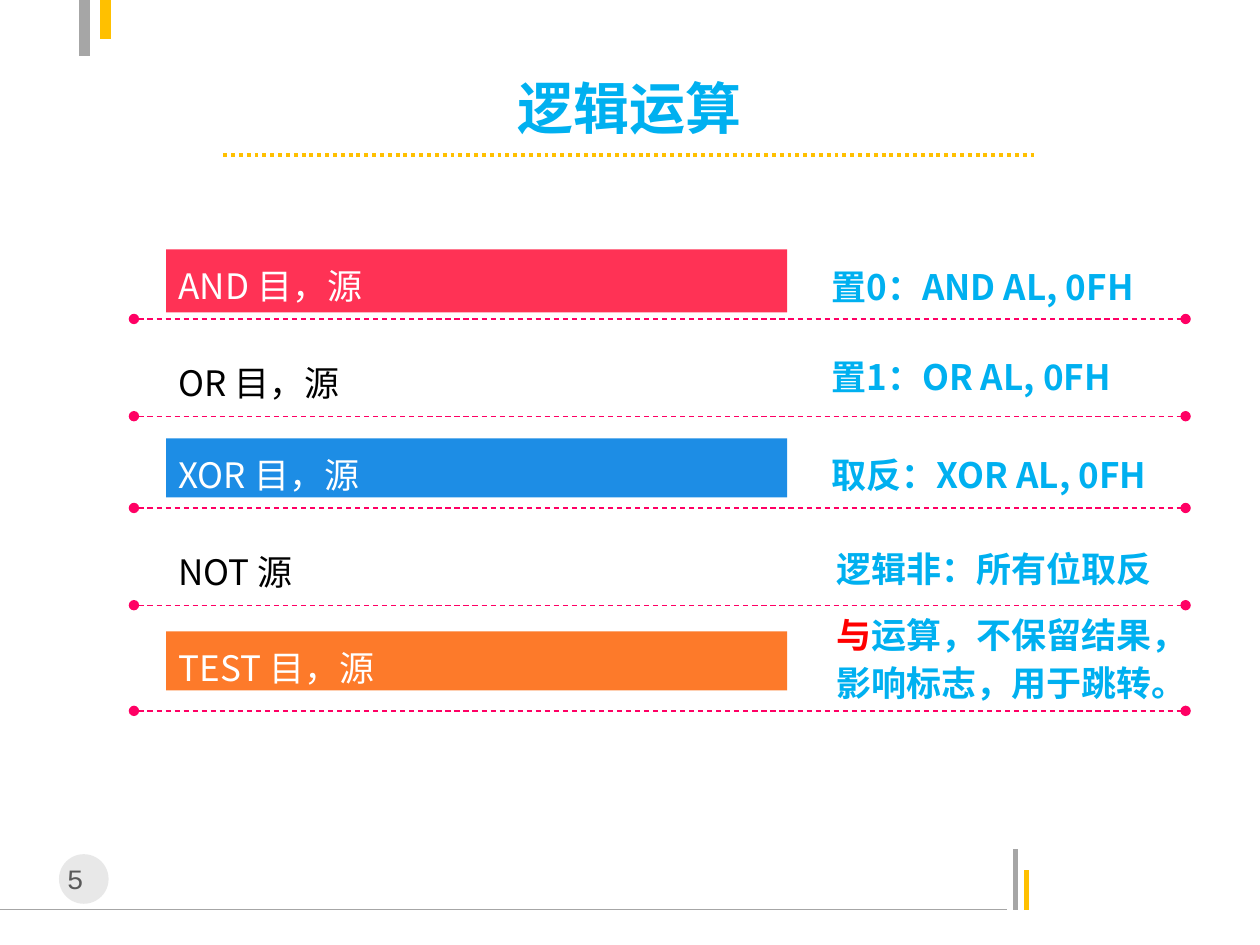
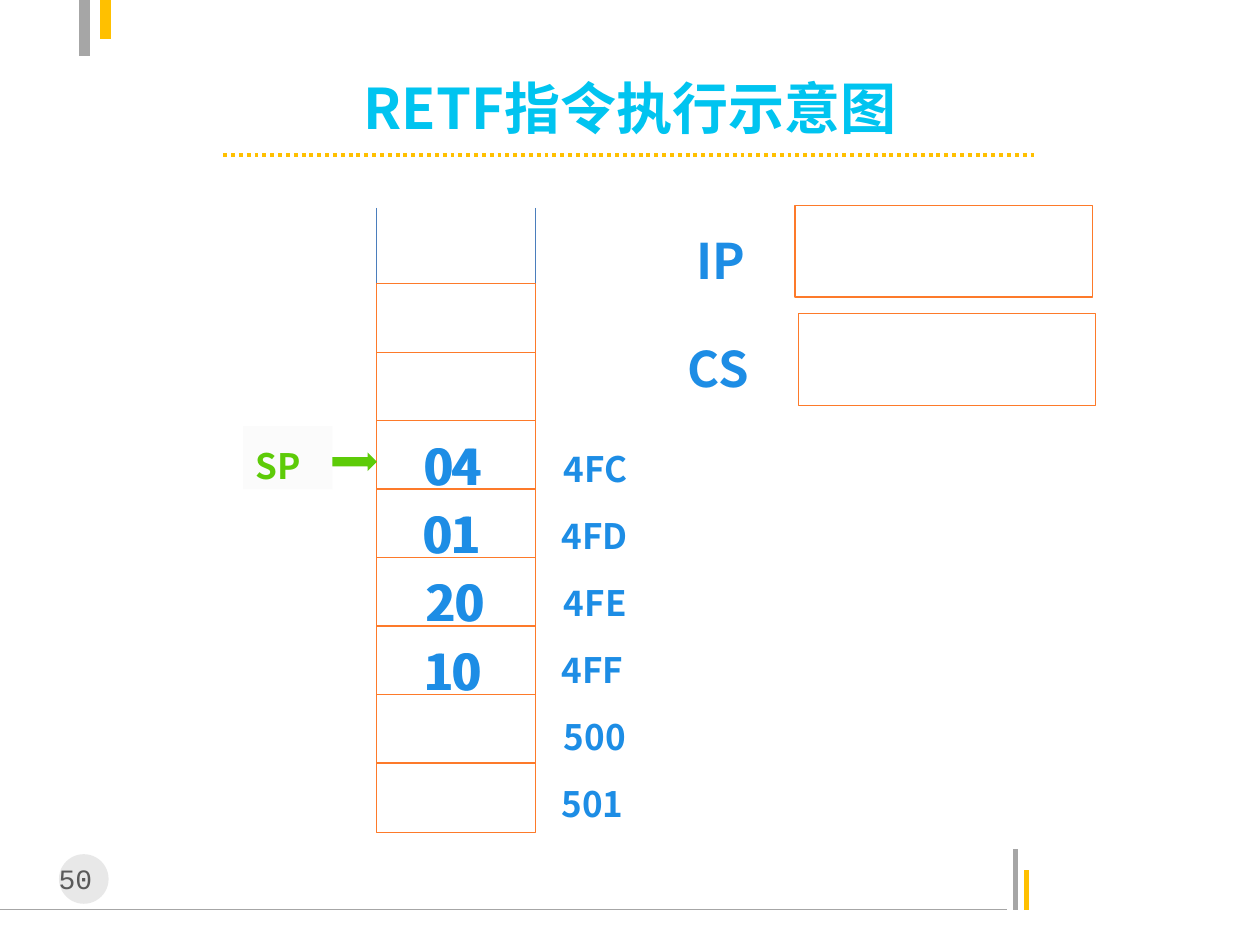
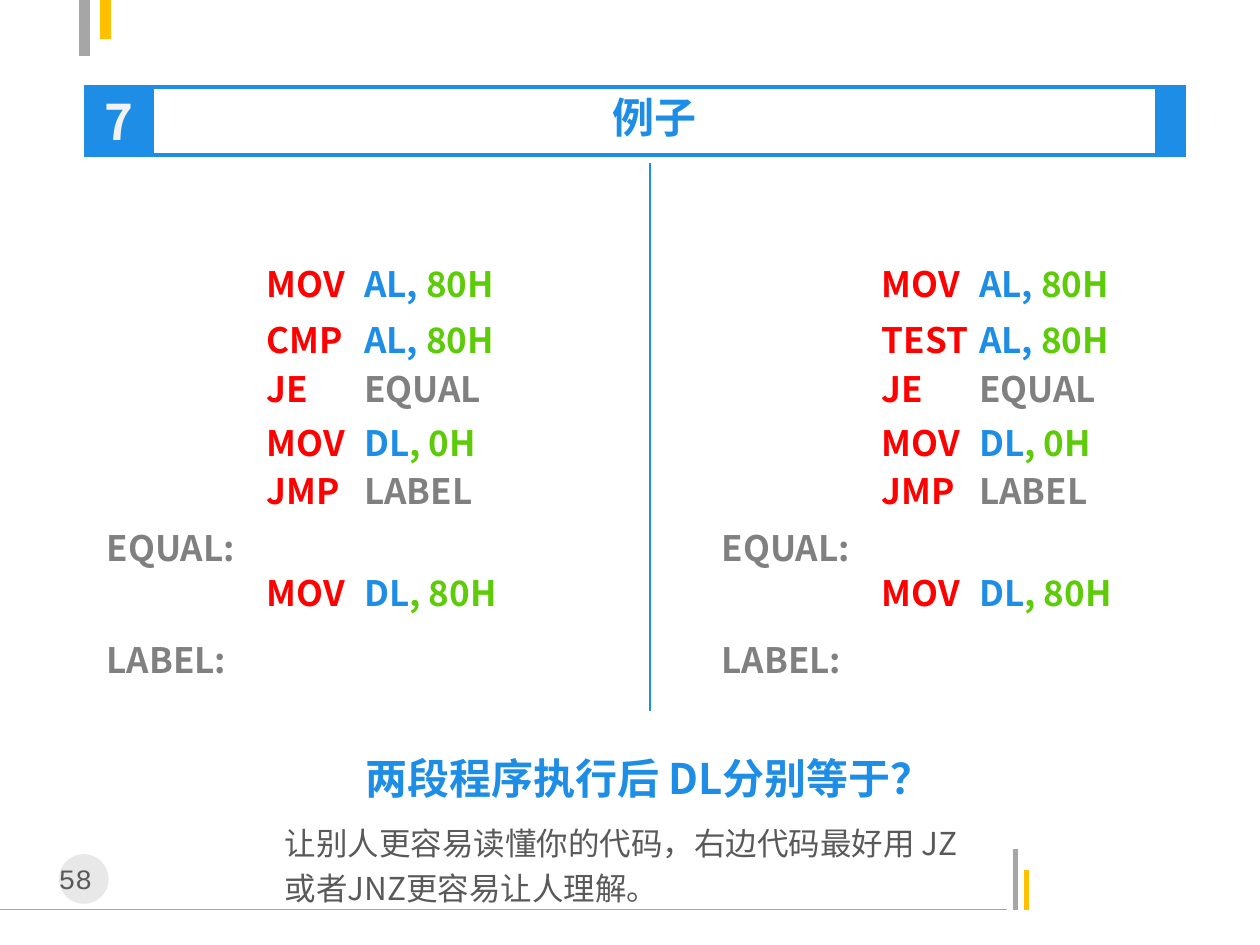
from lxml.etree import SubElement
from pptx import Presentation
from pptx.dml.color import RGBColor
from pptx.enum.dml import MSO_LINE
from pptx.enum.shapes import MSO_CONNECTOR, MSO_SHAPE
from pptx.enum.text import MSO_ANCHOR, MSO_AUTO_SIZE, PP_ALIGN
from pptx.oxml.ns import qn
from pptx.util import Cm, Pt

FONT = "Noto Sans CJK SC"
BLUE, ORANGE, GREEN, RED = "1D8DE5", "FD7A2A", "5DCB08", "FF0000"
SKY, CYAN, PINK, CRIMSON = "00B0F0", "00C4F0", "FF0064", "FF3255"
GRAY, DARK_GRAY, LABEL_GRAY, GOLD = "A6A6A6", "595959", "808080", "FFC000"
WHITE, BLACK = "FFFFFF", "000000"

GROW = {"auto_size": MSO_AUTO_SIZE.SHAPE_TO_FIT_TEXT}
MIDDLE = {"auto_size": MSO_AUTO_SIZE.NONE, "vertical_anchor": MSO_ANCHOR.MIDDLE}
GROW_MIDDLE = {**GROW, "vertical_anchor": MSO_ANCHOR.MIDDLE}
CENTERED = {"alignment": PP_ALIGN.CENTER}


def color(hex_value):
    """Return the colour for a hex string."""
    return RGBColor.from_string(hex_value)


def set_attributes(target, formats):
    """Set every attribute named in a dict of format values."""
    for name, value in formats.items():
        setattr(target, name, value)


def add_text(shape, runs, size, bold=True, font=FONT, frame=GROW, paragraph_format=None, tab=None):
    """Write (text, colour) runs as the only paragraph of a shape."""
    text_frame = shape.text_frame
    set_attributes(text_frame, {"word_wrap": True, "vertical_anchor": MSO_ANCHOR.TOP, **frame})
    paragraph = text_frame.paragraphs[0]
    if tab:
        tab_list = SubElement(paragraph._p.get_or_add_pPr(), qn("a:tabLst"))
        SubElement(tab_list, qn("a:tab"), pos=str(Cm(tab)), algn="l")
    set_attributes(paragraph, {"alignment": PP_ALIGN.LEFT, **(paragraph_format or {})})
    for text, hex_value in runs:
        run = paragraph.add_run()
        run.text = text
        set_attributes(run.font, {"size": Pt(size), "bold": bold, "name": font})
        run.font.color.rgb = color(hex_value)
        SubElement(run.font._element, qn("a:ea"), typeface=font)


def add_box(shapes, box, fill=None, line=None, kind=MSO_SHAPE.RECTANGLE):
    """Add a preset shape with a plain fill and an optional thin outline."""
    shape = shapes.add_shape(kind, *map(Cm, box))
    shape.shadow.inherit = False
    if fill:
        shape.fill.solid()
        shape.fill.fore_color.rgb = color(fill)
    else:
        shape.fill.background()
    if line:
        shape.line.color.rgb = color(line)
        shape.line.width = Pt(0.75)
    else:
        shape.line.fill.background()
    return shape


def add_label(shapes, box, runs, size, **formats):
    """Add a text box with one paragraph."""
    add_text(shapes.add_textbox(*map(Cm, box)), runs, size, **formats)


def add_line(shapes, ends, hex_value, width, dash=None, dots=False):
    """Add a straight connector, optionally dashed or with round ends."""
    connector = shapes.add_connector(MSO_CONNECTOR.STRAIGHT, *map(Cm, ends))
    set_attributes(connector.line, {"width": Pt(width), "dash_style": dash})
    connector.line.color.rgb = color(hex_value)
    if dots:
        for end in ("a:headEnd", "a:tailEnd"):
            SubElement(connector.line._get_or_add_ln(), qn(end), type="oval")
    SubElement(connector._element.spPr, qn("a:effectLst"))


def draw_frame(shapes, page_number):
    """Draw the corner bars, the footer rule and the page number."""
    for ends, hex_value, width in (
        ((0, 18.34, 20.29, 18.34), GRAY, 0.75),
        ((20.47, 18.34, 20.47, 17.12), GRAY, 3),
        ((20.7, 18.34, 20.7, 17.53), GOLD, 3),
        ((1.7, 1.12, 1.7, 0), GRAY, 6),
        ((2.13, 0, 2.13, 0.79), GOLD, 6),
    ):
        add_line(shapes, ends, hex_value, width)
    badge = add_box(shapes, (1.19, 17.22, 1, 1), "BFBFBF", kind=MSO_SHAPE.OVAL)
    fill_color = badge._element.spPr.find(qn("a:solidFill"))[0]
    SubElement(fill_color, qn("a:alpha"), val="35000")
    add_label(shapes, (0.62, 17.25, 1.8, 0.94), [(page_number, DARK_GRAY)], 16,
              bold=False, font="Courier New", paragraph_format=CENTERED)


def draw_title(shapes, title, hex_value):
    """Draw a centred title above its dotted rule."""
    add_label(shapes, (3.5, 1.52, 18.4, 1.27), [(title, hex_value)], 32,
              frame=MIDDLE, paragraph_format=CENTERED)
    add_line(shapes, (4.5, 3.12, 20.9, 3.12), GOLD, 2.25, MSO_LINE.ROUND_DOT)


def draw_operation(slide, box, bar_height, operation, fill):
    """Draw one operation bar above the dashed rule that closes its row."""
    left, top, width, height = box
    shapes = slide.shapes.add_group_shape().shapes
    bar = add_box(shapes, (left + 0.65, top, 12.52, bar_height), fill)
    add_text(bar, [(operation, WHITE if fill else BLACK)], 20, bold=False,
             paragraph_format={"line_spacing": 1.2})
    bottom = top + height
    add_line(shapes, (left, bottom, left + width, bottom), PINK, 0.75, MSO_LINE.DASH, dots=True)


def build_logic_slide(slide):
    """Build the slide that lists the logic operations."""
    draw_frame(slide.shapes, "5")
    draw_title(slide.shapes, "逻辑运算", SKY)
    for top, height, bar_height, operation, fill in (
        (5.03, 1.4, 1.27, "AND 目，源", CRIMSON),
        (6.99, 1.4, 1.27, "OR 目，源", None),
        (8.84, 1.4, 1.19, "XOR 目，源", BLUE),
        (10.8, 1.4, 1.19, "NOT 源", None),
        (12.73, 1.6, 1.19, "TEST 目，源", ORANGE),
    ):
        draw_operation(slide, (2.7, top, 21.2, height), bar_height, operation, fill)
    for box, runs in (
        ((16.51, 5.11, 8.8, 1.22), [("置0：AND AL, 0FH", SKY)]),
        ((16.51, 6.93, 8.8, 1.22), [("置1：OR AL, 0FH", SKY)]),
        ((16.51, 8.89, 8.8, 1.22), [("取反：XOR AL, 0FH", SKY)]),
        ((16.61, 10.8, 8.7, 1.22), [("逻辑非：所有位取反", SKY)]),
        ((16.61, 12.12, 7.57, 2.21),
         [("与", RED), ("运算，不保留结果，影响标志，用于跳转。", SKY)]),
    ):
        add_label(slide.shapes, box, runs, 20, frame=GROW_MIDDLE,
                  paragraph_format={"line_spacing": 1.14})


def draw_stack(shapes, box):
    """Draw the memory stack with its cells, values and addresses."""
    left, top, width, height = box
    pitch, first_cell, first_value = 1.38, top + 1.53, top + 4.12
    spacing = {"line_spacing": 1.3}
    for x in (left, left + width):
        add_line(shapes, (x, top, x, top + height), "4B7EBC", 0.75)
    for index in range(8):
        add_box(shapes, (left, first_cell + index * pitch, width, 1.4), WHITE, ORANGE)
    for index, address in enumerate(("4FC", "4FD", "4FE", "4FF", "500", "501")):
        place = (left + 3.53 - 0.05 * (index % 2), top + 4.45 + index * 1.35, 2.34, 1.27)
        add_label(shapes, place, [(address, BLUE)], 20, paragraph_format=spacing)
    for index, (value, indent) in enumerate(
            (("04", 0.69), ("01", 0.67), ("20", 0.74), ("10", 0.69))):
        for shift in (0, 0.04):
            place = (left + indent + shift, first_value + index * pitch, 2.21, 1.65)
            add_label(shapes, place, [(value, BLUE)], 28, paragraph_format=spacing)


def draw_register(shapes, box, name, label_gap):
    """Draw an empty register with its name on the left."""
    left, top, width, height = box
    add_box(shapes, box, WHITE, ORANGE)
    add_label(shapes, (left - label_gap, top + 0.03, 2.21, 1.65), [(name, BLUE)], 28,
              paragraph_format={"line_spacing": 1.3})


def draw_pointer(shapes, box):
    """Draw the stack pointer label and its arrow."""
    left, top, width, height = box
    add_box(shapes, (left + 1.73, top + 0.53, 0.97, 0.38), GREEN, kind=MSO_SHAPE.RIGHT_ARROW)
    add_text(add_box(shapes, box, "FBFBFB"), [("SP", GREEN)], 20,
             paragraph_format={"line_spacing": 1.3})


def build_return_slide(slide):
    """Build the slide that shows the stack before a far return."""
    draw_frame(slide.shapes, "50")
    draw_title(slide.shapes, "RETF指令执行示意图", CYAN)
    draw_stack(slide.shapes, (7.59, 4.19, 3.2, 12.52))
    draw_pointer(slide.shapes, (4.9, 8.59, 1.8, 1.27))
    draw_register(slide.shapes, (16.03, 4.14, 5.99, 1.85), "IP", 2.24)
    draw_register(slide.shapes, (16.1, 6.32, 5.99, 1.85), "CS", 2.49)


def draw_section_header(shapes, box, number, title):
    """Draw a numbered header between two rules."""
    left, top, width, height = box
    for y in (top, top + height):
        add_line(shapes, (left, y, left + width, y), BLUE, 2.25)
    number_box = add_box(shapes, (left, top, 1.4, height), BLUE, BLUE)
    add_text(number_box, [(number, "F2F2F2")], 28, frame=MIDDLE, paragraph_format=CENTERED)
    add_label(shapes, (left + 1.4, top - 0.02, width - 2.03, 1.27), [(title, BLUE)], 24,
              paragraph_format=CENTERED)
    add_box(shapes, (left + width - 0.61, top, 0.61, height), BLUE, BLUE)


def draw_program(shapes, box, comparison):
    """Draw one program listing with labels left of its instructions."""
    left, top, width, height = box
    for offset, mnemonic, *operands in (
        (0, "MOV", ("AL, ", BLUE), ("80H", GREEN)),
        (1.12, comparison, ("AL, ", BLUE), ("80H", GREEN)),
        (2.11, "JE", ("EQUAL", LABEL_GRAY)),
        (3.2, "MOV", ("DL", BLUE), (", 0H", GREEN)),
        (4.17, "JMP", ("LABEL", LABEL_GRAY)),
        (6.22, "MOV", ("DL", BLUE), (", 80H", GREEN)),
    ):
        add_label(shapes, (left + 3.23, top + offset, width - 3.23, 1.3),
                  [(mnemonic + "\t", RED), *operands], 20, tab=1.96,
                  paragraph_format={"line_spacing": 1.29})
    for offset, label in ((5.31, "EQUAL:"), (7.57, "LABEL:")):
        add_label(shapes, (left, top + offset, 4.8, 1.3), [(label, LABEL_GRAY)], 20,
                  paragraph_format={"line_spacing": 1.29})


def build_example_slide(slide):
    """Build the slide that compares two programs."""
    shapes = slide.shapes
    draw_frame(shapes, "58")
    draw_section_header(shapes, (1.7, 1.75, 22.2, 1.37), "7", "例子")
    add_line(shapes, (13.11, 3.28, 13.11, 14.33), BLUE, 1)
    for left, comparison in ((1.9, "CMP"), (14.3, "TEST")):
        draw_program(shapes, (left, 4.93, 9.6, 8.9), comparison)
    add_label(shapes, (7.11, 14.76, 12, 1.57), [("两段程序执行后 DL分别等于？", BLUE)], 24,
              paragraph_format={"line_spacing": 1.29})
    note = "让别人更容易读懂你的代码，右边代码最好用 JZ或者JNZ更容易让人理解。"
    add_label(shapes, (5.49, 16.33, 14.22, 2.11), [(note, DARK_GRAY)], 18, bold=False,
              paragraph_format={"line_spacing": 1.2})


def main():
    """Build and save the presentation."""
    presentation = Presentation()
    set_attributes(presentation, {"slide_width": Cm(25.4), "slide_height": Cm(19.05)})
    for build in (build_logic_slide, build_return_slide, build_example_slide):
        build(presentation.slides.add_slide(presentation.slide_layouts[6]))
    presentation.save("out.pptx")


if __name__ == "__main__":
    main()
